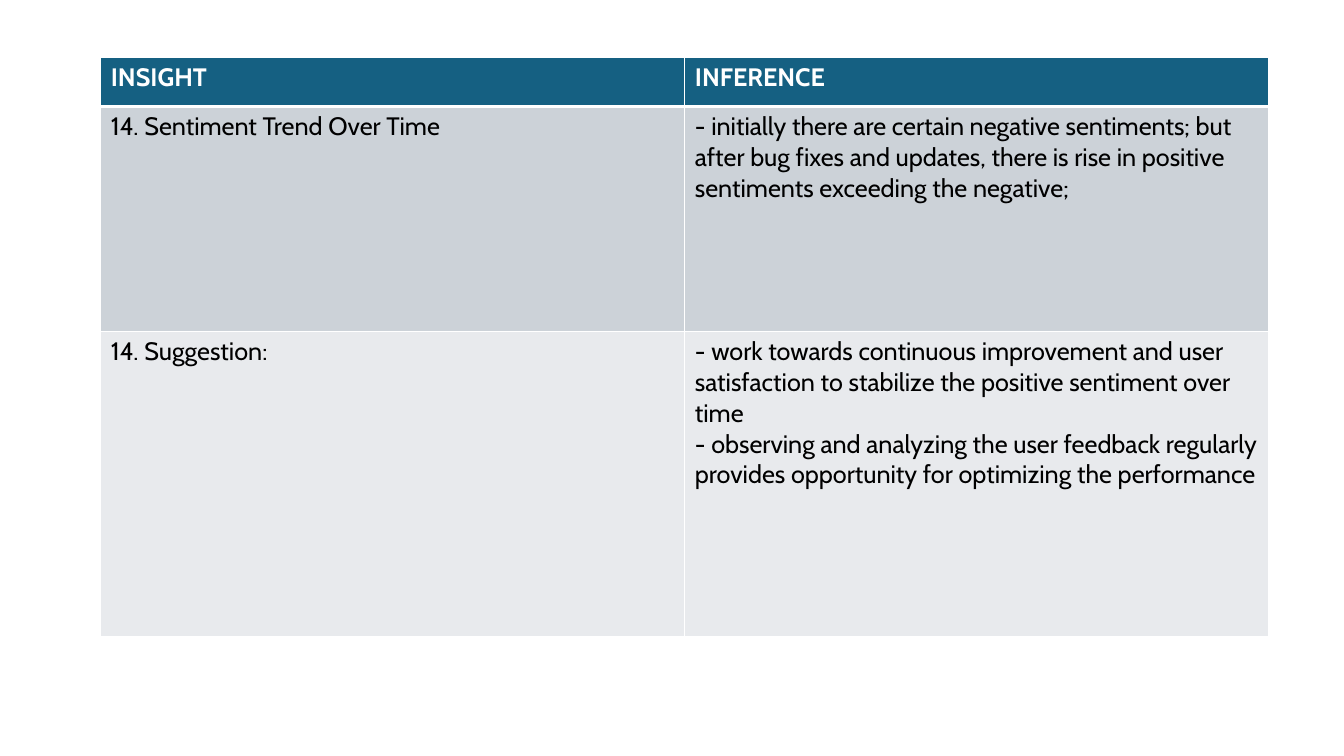
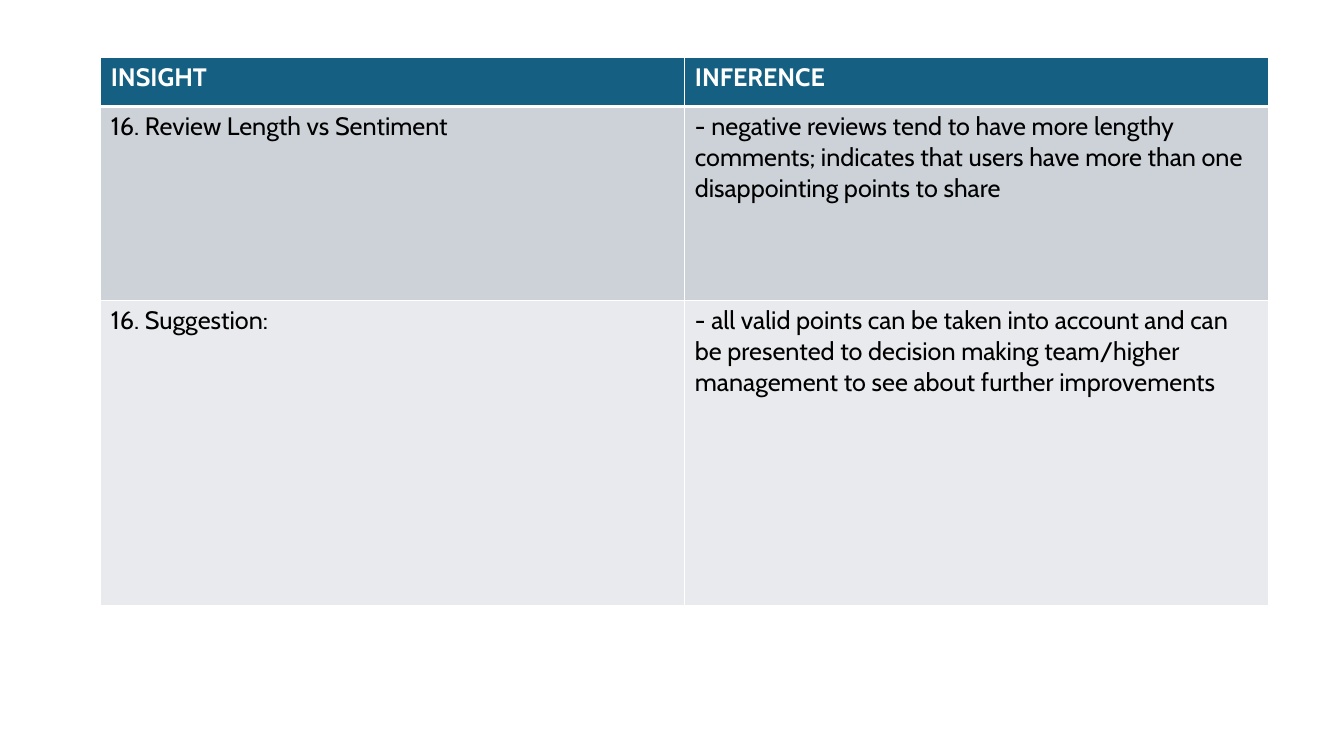
from lxml import etree
from pptx import Presentation
from pptx.dml.color import RGBColor
from pptx.oxml.ns import qn
from pptx.util import Pt

WHITE = RGBColor(0xFF, 0xFF, 0xFF)
BLACK = RGBColor(0x00, 0x00, 0x00)
HEADER_FILL = RGBColor(0x15, 0x60, 0x82)
INSIGHT_FILL = RGBColor(0xCC, 0xD2, 0xD8)
SUGGESTION_FILL = RGBColor(0xE8, 0xEA, 0xED)
ROW_FILLS = (HEADER_FILL, INSIGHT_FILL, SUGGESTION_FILL)

FONT = "Cabin"
TEXT_SIZE = Pt(18)
SLIDE_W, SLIDE_H = Pt(960), Pt(540)
TABLE_LEFT, TABLE_TOP = Pt(72), Pt(41)
COLUMN_W = Pt(417.2)
HEADER_H, SUGGESTION_H = Pt(35), Pt(218)
THIN, THICK = Pt(1), Pt(3)
BLANK_LAYOUT = 6

HEADINGS = (["INSIGHT"], ["INFERENCE"])
SLIDES = (
    (Pt(160.7), (
        (["14. Sentiment Trend Over Time"],
         ["- initially there are certain negative sentiments; but after bug "
          "fixes and updates, there is rise in positive sentiments exceeding "
          "the negative;"]),
        (["14. Suggestion:"],
         ["- work towards continuous improvement and user satisfaction to "
          "stabilize the positive sentiment over time",
          "- observing and analyzing the user feedback regularly provides "
          "opportunity for optimizing the performance"]),
    )),
    (Pt(138.6), (
        (["16. Review Length vs Sentiment"],
         ["- negative reviews tend to have more lengthy comments; indicates "
          "that users have more than one disappointing points to share"]),
        (["16. Suggestion:"],
         ["- all valid points can be taken into account and can be presented "
          "to decision making team/higher management to see about further "
          "improvements"]),
    )),
)


def set_borders(cell, top, bottom):
    tcPr = cell._tc.get_or_add_tcPr()
    widths = {"a:lnL": THIN, "a:lnR": THIN, "a:lnT": top, "a:lnB": bottom}
    for tag, width in widths.items():
        ln = etree.SubElement(tcPr, qn(tag), w=str(width))
        fill = etree.SubElement(ln, qn("a:solidFill"))
        etree.SubElement(fill, qn("a:srgbClr"), val=str(WHITE))


def add_text(tf, lines, color, bold):
    for i, line in enumerate(lines):
        p = tf.add_paragraph() if i else tf.paragraphs[0]
        r = p.add_run()
        r.text = line
        r.font.name = FONT
        r.font.size = TEXT_SIZE
        r.font.bold = bold
        r.font.color.rgb = color


def format_cell(cell, row, lines):
    is_header = row == 0
    set_borders(cell, THICK if row == 1 else THIN, THICK if is_header else THIN)
    cell.fill.solid()
    cell.fill.fore_color.rgb = ROW_FILLS[row]
    add_text(cell.text_frame, lines, WHITE if is_header else BLACK, is_header)


def add_insight_table(s, insight_h, body):
    heights = (HEADER_H, insight_h, SUGGESTION_H)
    rows = (HEADINGS, *body)
    table = s.shapes.add_table(len(rows), len(HEADINGS), TABLE_LEFT, TABLE_TOP,
                               COLUMN_W * len(HEADINGS), sum(heights)).table
    for column in table.columns:
        column.width = COLUMN_W
    for i, (height, cells) in enumerate(zip(heights, rows)):
        table.rows[i].height = height
        for j, lines in enumerate(cells):
            format_cell(table.cell(i, j), i, lines)


def main():
    prs = Presentation()
    prs.slide_width, prs.slide_height = SLIDE_W, SLIDE_H
    for insight_h, body in SLIDES:
        s = prs.slides.add_slide(prs.slide_layouts[BLANK_LAYOUT])
        add_insight_table(s, insight_h, body)
    prs.save("out.pptx")


if __name__ == "__main__":
    main()
